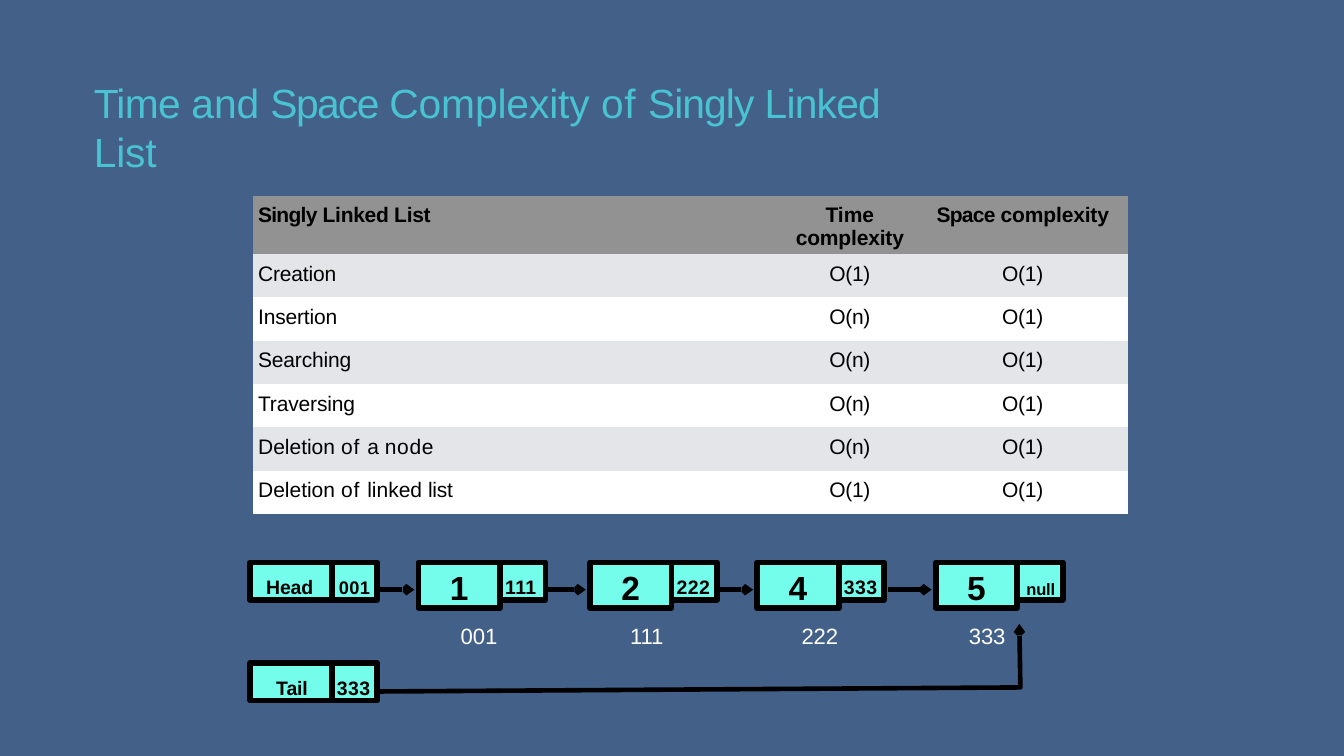
from lxml.etree import SubElement
from pptx import Presentation
from pptx.dml.color import RGBColor
from pptx.enum.shapes import MSO_CONNECTOR, MSO_SHAPE
from pptx.enum.text import MSO_ANCHOR, MSO_AUTO_SIZE, PP_ALIGN
from pptx.oxml.ns import qn
from pptx.util import Inches, Pt


def color(hex_text):
    return RGBColor.from_string(hex_text)


def write(holder, spans, size, font_color, margins, align=PP_ALIGN.LEFT, bold=False):
    """Fill a shape or cell with (text, letter spacing) spans; margins are left and top."""
    holder.margin_left, holder.margin_top = map(Inches, margins)
    holder.margin_right = holder.margin_bottom = 0
    holder.vertical_anchor = MSO_ANCHOR.TOP
    holder.word_wrap = True
    # A cell keeps its paragraphs in an inner text frame
    para = getattr(holder, "text_frame", holder).paragraphs[0]
    para.alignment = align
    para.line_spacing = 1.0
    para.font.name = "Arial"
    para.font.size = Pt(size)
    para.font.bold = bold
    para.font.color.rgb = color(font_color)
    for text, spacing in spans:
        span = para.add_run()
        span.text = text
        span.font._element.set("spc", str(round(spacing * 100)))


deck = Presentation()
deck.slide_width, deck.slide_height = Inches(13.33), Inches(7.5)
page = deck.slides.add_slide(deck.slide_layouts[5])
page.background.fill.solid()
page.background.fill.fore_color.rgb = color("436089")

title = page.shapes.title
title.left, title.top, title.width, title.height = map(Inches, (0.92, 0.76, 8.41, 0.99))
title.text_frame.auto_size = MSO_AUTO_SIZE.NONE
title_spans = [("Time ", -0.5), ("and ", -0.1), ("Space ", -1.2), ("Complexity ", -0.1),
               ("of ", 0.4), ("Singly ", -0.7), ("Linked ", -0.6), ("List", -0.1)]
write(title.text_frame, title_spans, 29.1, "49C3D2", (0.01, 0.01))

# Complexity table
complexities = [
    ([("Singly ", -0.5), ("Linked List", -0.2)],
     [("Time ", 0), ("complexity", -0.1)], [("Space ", -0.5), ("complexity", -0.1)]),
    ([("Creation", -0.1)], [("O(1)", -0.2)], [("O(1)", -0.2)]),
    ([("Insertion", -0.1)], [("O(n)", -0.2)], [("O(1)", -0.2)]),
    ([("Searching", -0.1)], [("O(n)", -0.2)], [("O(1)", -0.2)]),
    ([("Traversing", -0.1)], [("O(n)", -0.2)], [("O(1)", -0.2)]),
    ([("Deletion ", 0), ("of ", 0.7), ("a ", 0), ("node", 0.5)],
     [("O(n)", -0.2)], [("O(1)", -0.2)]),
    ([("Deletion ", 0), ("of ", 0.7), ("linked ", 0), ("list", -0.2)],
     [("O(1)", -0.2)], [("O(1)", -0.2)]),
]
columns = [(3.37, 0.05, PP_ALIGN.LEFT), (3.19, 1.91, PP_ALIGN.CENTER),
           (2.12, 0.03, PP_ALIGN.CENTER)]
table = page.shapes.add_table(len(complexities), len(columns), Inches(2.51), Inches(1.94),
                              Inches(8.68), Inches(3.18)).table
table.first_row = table.horz_banding = False
no_style = "{2D5ABB26-0587-4C30-8999-92F81FD0307C}"
table._tbl.tblPr.find(qn("a:tableStyleId")).text = no_style
for column, (width, _, _) in zip(table.columns, columns):
    column.width = Inches(width)
for row, entries in enumerate(complexities):
    is_header = row == 0
    table.rows[row].height = Inches(0.58 if is_header else 0.43)
    fill = "929292" if is_header else ("FFFFFF", "E3E5E8")[row % 2]
    for col, (spans, (_, indent, align)) in enumerate(zip(entries, columns)):
        cell = table.cell(row, col)
        cell.fill.solid()
        cell.fill.fore_color.rgb = color(fill)
        write(cell, spans, 15, "000000", (indent, 0.08), align, is_header)

# Linked list: each box is left, top, width, height, text, size, spacing, margins, alignment
boxes = []
for left, value, pointer in [(4.15, "1", "111"), (5.85, "2", "222"),
                             (7.51, "4", "333"), (9.28, "5", "null")]:
    boxes.append((left, 5.58, 0.81, 0.45, value, 23.9, 0.9, (0, 0.05), PP_ALIGN.CENTER))
    size, spacing, margins = (11.8, -0.1, (0.09, 0.16)) if pointer == "null" else (
        13.9, 0.3, (0.05, 0.13))
    boxes.append((left + 0.81, 5.58, 0.45, 0.37, pointer, size, spacing, margins,
                  PP_ALIGN.LEFT))
for top, name, indent, address, size, margins in [
        (5.58, "Head", 0.16, "001", 13, (0.07, 0.14)),
        (6.58, "Tail", 0.26, "333", 13.9, (0.05, 0.13))]:
    boxes.append((2.48, top, 0.81, 0.37, name, 13.9, -0.1, (indent, 0.13), PP_ALIGN.LEFT))
    boxes.append((3.29, top, 0.45, 0.37, address, size, 0.3, margins, PP_ALIGN.LEFT))
for left, top, width, height, text, size, spacing, margins, align in boxes:
    box = page.shapes.add_shape(MSO_SHAPE.RECTANGLE, Inches(left), Inches(top),
                                Inches(width), Inches(height))
    box.shadow.inherit = False
    box.fill.solid()
    box.fill.fore_color.rgb = color("73FDEA")
    box.line.color.rgb = color("000000")
    box.line.width = Pt(4.12)
    write(box.text_frame, [(text, spacing)], size, "000000", margins, align, True)

for left, address in [(4.56, "001"), (6.24, "111"), (7.94, "222"), (9.6, "333")]:
    label = page.shapes.add_textbox(Inches(left), Inches(6.16), Inches(0.39), Inches(0.28))
    write(label.text_frame, [(address, -0.1)], 15.8, "FFFFFF", (0.01, 0.01))

# Arrows between the nodes, and the bent one from the tail
arrows = []
for start, end in [(3.77, 4.11), (5.44, 5.81), (7.14, 7.47), (8.81, 9.24)]:
    arrow = page.shapes.add_connector(MSO_CONNECTOR.STRAIGHT, Inches(start), Inches(5.85),
                                      Inches(end), Inches(5.85))
    SubElement(arrow._element.spPr, qn("a:effectLst"))
    arrows.append(arrow)
builder = page.shapes.build_freeform(Inches(3.77), Inches(6.86))
builder.add_line_segments([(Inches(10.12), Inches(6.82)), (Inches(10.11), Inches(6.19))],
                          close=False)
tail_arrow = builder.convert_to_shape()
tail_arrow.shadow.inherit = False
tail_arrow.fill.background()
for arrow in arrows + [tail_arrow]:
    arrow.line.color.rgb = color("000000")
    arrow.line.width = Pt(3.3)
    SubElement(arrow.line._get_or_add_ln(), qn("a:tailEnd"), type="arrow", w="sm", len="sm")

deck.save("out.pptx")
